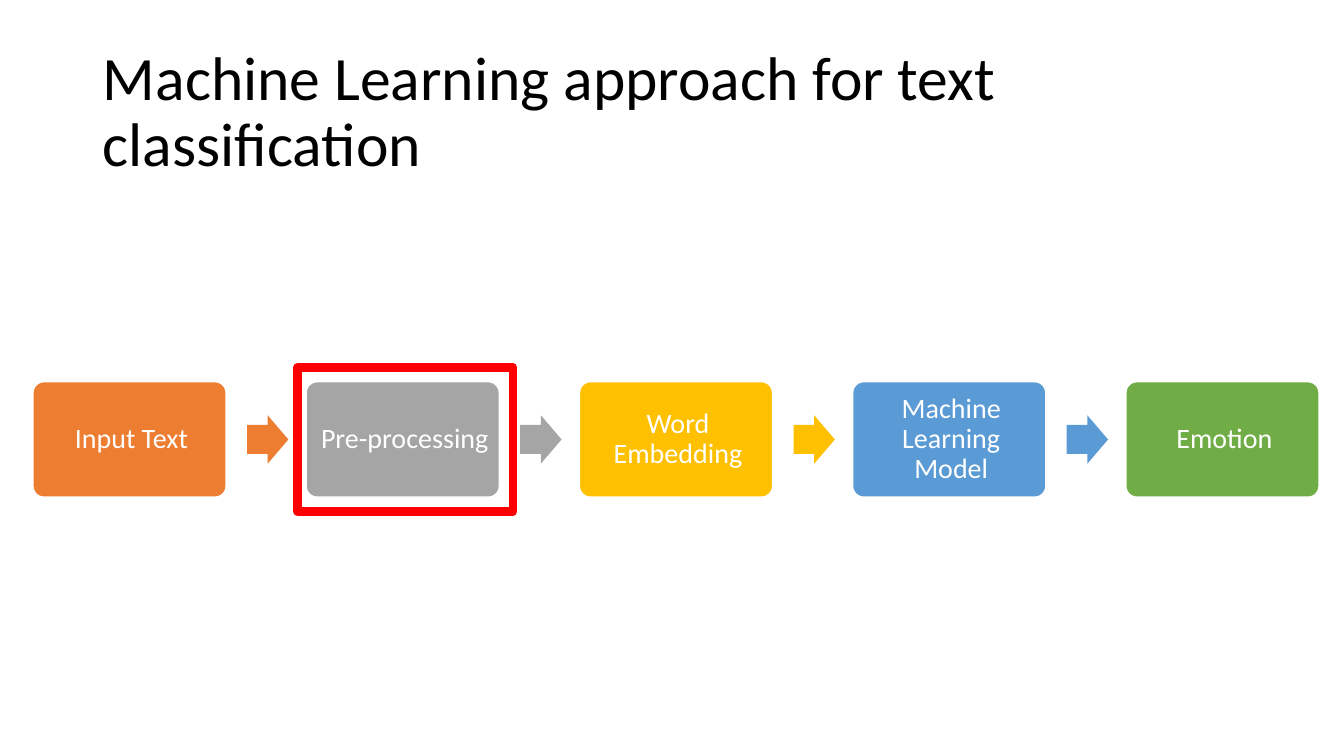
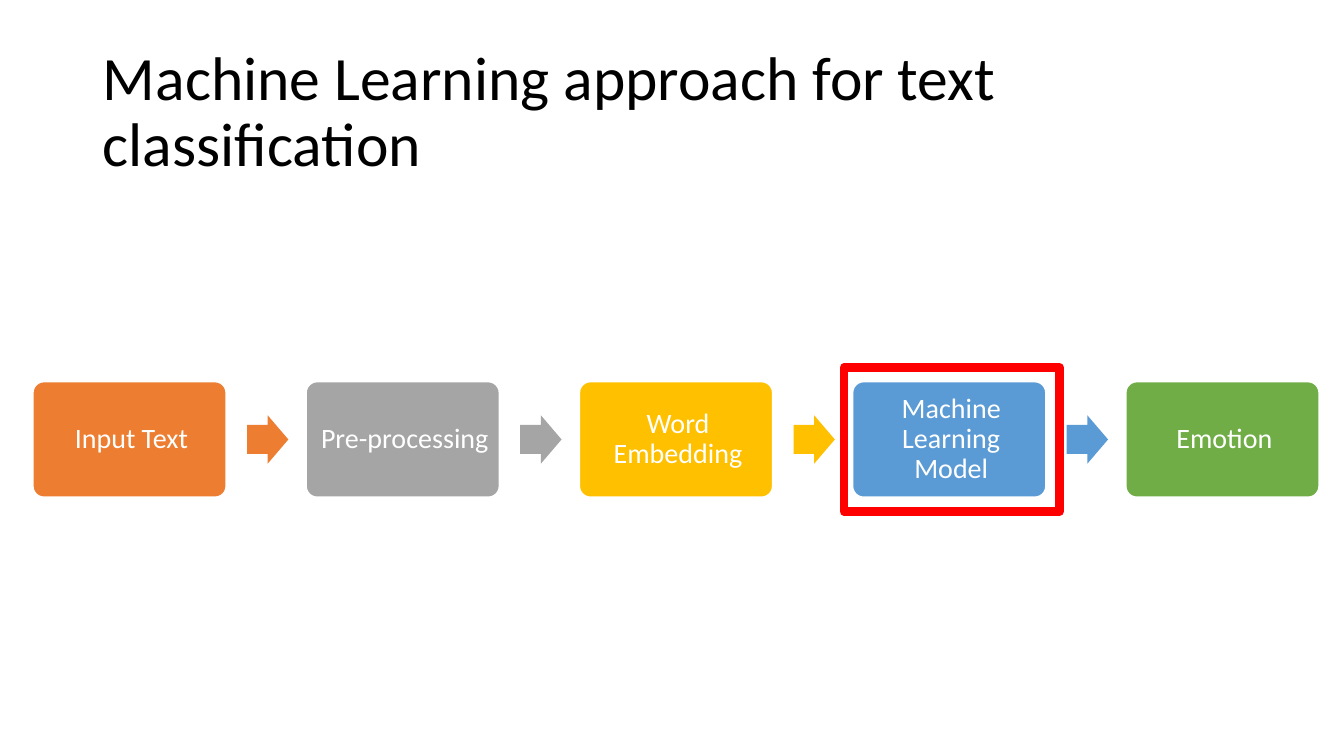
from dataclasses import dataclass

from pptx import Presentation
from pptx.dml.color import RGBColor
from pptx.enum.shapes import MSO_SHAPE
from pptx.enum.text import MSO_ANCHOR, MSO_AUTO_SIZE, PP_ALIGN
from pptx.util import Inches, Pt


@dataclass(frozen=True)
class Theme:
    font: str = "Calibri"
    title_size: int = 44
    step_size: int = 20
    title: str = "000000"
    step_text: str = "FFFFFF"
    outline: str = "FFFFFF"
    highlight: str = "FF0000"


THEME = Theme()
TITLE_ONLY = 5
TITLE = "Machine Learning approach for text classification"
STEPS = [
    ("Input Text", "ED7D31"),
    ("Pre-processing", "A5A5A5"),
    ("Word Embedding", "FFC000"),
    ("Machine Learning Model", "5B9BD5"),
    ("Emotion", "70AD47"),
]
HIGHLIGHTED_STEPS = ["Pre-processing", "Machine Learning Model"]

# Pipeline grid, in inches: one column per step, all on one centre line
FIRST_COLUMN, COLUMN_PITCH = 0.32, 2.71
CENTRE_LINE = 4.36
STEP_SIZE = (1.93, 1.16)
ARROW_SIZE, ARROW_OFFSET = (0.41, 0.48), 2.13
FRAME_SIZE, FRAME_OFFSET = (2.14, 1.43), -0.08


def rgb(value):
    return RGBColor.from_string(value)


def column_left(column):
    return FIRST_COLUMN + column * COLUMN_PITCH


def add_centred(shapes, preset, left, size):
    """Add a preset shape whose middle lies on the centre line."""
    width, height = size
    shape = shapes.add_shape(preset, Inches(left), Inches(CENTRE_LINE - height / 2),
                             Inches(width), Inches(height))
    shape.shadow.inherit = False
    return shape


def fill_and_outline(shape, fill=None, outline=None, weight=0):
    if fill:
        shape.fill.solid()
        shape.fill.fore_color.rgb = rgb(fill)
    else:
        shape.fill.background()
    if outline:
        shape.line.color.rgb = rgb(outline)
        shape.line.width = Pt(weight)
    else:
        shape.line.fill.background()


def write(frame, text, size, color, align):
    frame.text = text
    frame.word_wrap = True
    frame.auto_size = MSO_AUTO_SIZE.NONE
    frame.vertical_anchor = MSO_ANCHOR.MIDDLE
    paragraph = frame.paragraphs[0]
    paragraph.alignment = align
    paragraph.line_spacing = 0.9
    paragraph.font.name = THEME.font
    paragraph.font.size = Pt(size)
    paragraph.font.color.rgb = rgb(color)
    return paragraph


def set_title(slide, text):
    title = slide.shapes.title
    title.left, title.top = Inches(0.92), Inches(0.4)
    title.width, title.height = Inches(11.5), Inches(1.45)
    write(title.text_frame, text, THEME.title_size, THEME.title, PP_ALIGN.LEFT)


def add_step(shapes, column, label, color):
    step = add_centred(shapes, MSO_SHAPE.ROUNDED_RECTANGLE, column_left(column), STEP_SIZE)
    step.adjustments[0] = 0.1
    fill_and_outline(step, color, THEME.outline, 2)
    frame = step.text_frame
    frame.margin_left = frame.margin_top = frame.margin_bottom = Inches(0.12)
    frame.margin_right = Inches(0.08)
    paragraph = write(frame, label, THEME.step_size, THEME.step_text, PP_ALIGN.CENTER)
    paragraph.space_after = Pt(7)


def add_arrow(shapes, column, color):
    arrow = add_centred(shapes, MSO_SHAPE.RIGHT_ARROW,
                        column_left(column) + ARROW_OFFSET, ARROW_SIZE)
    arrow.adjustments[0] = 0.6
    arrow.adjustments[1] = 0.5
    fill_and_outline(arrow, color)


def add_pipeline(slide):
    shapes = slide.shapes.add_group_shape().shapes
    for column, (label, color) in enumerate(STEPS):
        add_step(shapes, column, label, color)
        if column < len(STEPS) - 1:
            add_arrow(shapes, column, color)


def add_highlight(slide, label):
    column = [name for name, _ in STEPS].index(label)
    highlight = add_centred(slide.shapes, MSO_SHAPE.RECTANGLE,
                            column_left(column) + FRAME_OFFSET, FRAME_SIZE)
    fill_and_outline(highlight, outline=THEME.highlight, weight=6)


def main():
    deck = Presentation()
    deck.slide_width, deck.slide_height = Inches(13.33), Inches(7.5)
    # The same pipeline on each slide, with a different step highlighted
    for label in HIGHLIGHTED_STEPS:
        slide = deck.slides.add_slide(deck.slide_layouts[TITLE_ONLY])
        set_title(slide, TITLE)
        add_pipeline(slide)
        add_highlight(slide, label)
    deck.save("out.pptx")


if __name__ == "__main__":
    main()
